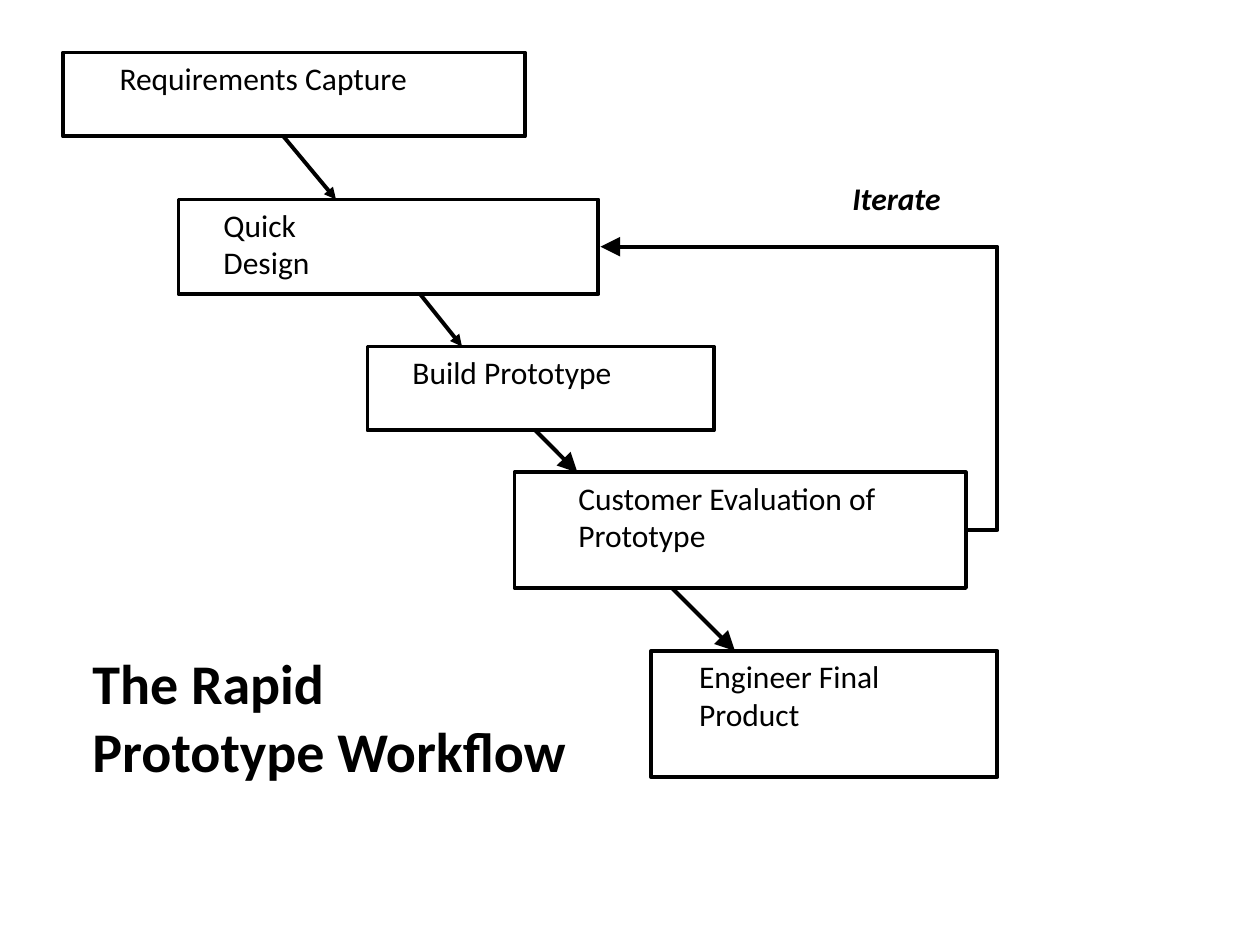
from pptx import Presentation
from pptx.dml.color import RGBColor
from pptx.enum.shapes import MSO_CONNECTOR, MSO_SHAPE
from pptx.enum.text import MSO_ANCHOR, MSO_AUTO_SIZE, PP_ALIGN
from pptx.oxml.ns import qn
from pptx.util import Inches, Pt
from lxml import etree

RECT = MSO_SHAPE.RECTANGLE
STRAIGHT, ELBOW = MSO_CONNECTOR.STRAIGHT, MSO_CONNECTOR.ELBOW
TOP, LEFT = MSO_ANCHOR.TOP, PP_ALIGN.LEFT
FIT = MSO_AUTO_SIZE.SHAPE_TO_FIT_TEXT
INK, FONT, WEIGHT = "000000", "Calibri", 2.24
CELL = 1 / 12
# box left, top, width, height; text indent, width; text
STEPS = [
    (6, 5, 44, 8, 4.2, 29.9, "Requirements Capture"),
    (17, 19, 40, 9, 3.1, 18.1, "Quick Design"),
    (35, 33, 33, 8, 3.1, 21.4, "Build Prototype"),
    (49, 45, 43, 11, 4.9, 30.8, "Customer Evaluation of\nPrototype"),
    (62, 62, 33, 12, 3.4, 20.3, "Engineer Final \nProduct"),
]
ARROWS = [(27, 32, "med"), (40, 44, "med"), (51, 55, "lg"), (64, 70, "lg")]


def grid(*cells):
    """Turn grid cells into lengths."""
    return [Inches(cell * CELL) for cell in cells]


def paint(color, value):
    """Set a colour from a hex string."""
    color.rgb = RGBColor.from_string(value)


def write(shape, text, size, bold=False, italic=False):
    """Fill a shape with left-aligned text from its top."""
    frame = shape.text_frame
    frame.text = text
    frame.word_wrap = False
    frame.auto_size = FIT
    frame.vertical_anchor = TOP
    for para in frame.paragraphs:
        para.alignment = LEFT
        font = para.font
        font.name, font.size = FONT, Pt(size)
        font.bold, font.italic = bold, italic
        paint(font.color, INK)


def label(slide, at, text, **style):
    """Add a text box."""
    write(slide.shapes.add_textbox(*grid(*at)), text, 18, **style)


def box(slide, at):
    """Add an outlined box."""
    shape = slide.shapes.add_shape(RECT, *grid(*at))
    shape.shadow.inherit = False
    shape.fill.background()
    shape.line.width = Pt(WEIGHT)
    paint(shape.line.color, INK)


def arrow(slide, kind, ends, size):
    """Add a connector with an arrowhead at its end."""
    link = slide.shapes.add_connector(kind, *grid(*ends))
    link.line.width = Pt(WEIGHT)
    paint(link.line.color, INK)
    props = link._element.spPr
    etree.SubElement(props.find(qn("a:ln")), qn("a:tailEnd"),
                     type="triangle", w=size, len=size)
    etree.SubElement(props, qn("a:effectLst"))
    return link


def bend(link, share):
    """Move the middle part of an elbow connector."""
    geom = link._element.spPr.find(qn("a:prstGeom"))
    guides = geom.find(qn("a:avLst"))
    if guides is None:
        guides = etree.SubElement(geom, qn("a:avLst"))
    etree.SubElement(guides, qn("a:gd"), name="adj1",
                     fmla=f"val {round(share * 100000)}")


def head(slide, at, text):
    """Place the title."""
    title = slide.shapes.title
    title.left, title.top, title.width, title.height = grid(*at)
    write(title, text, 32, bold=True)


def main():
    """Build the workflow slide."""
    deck = Presentation()
    deck.slide_width, deck.slide_height = Inches(10), Inches(7.5)
    slide = deck.slides.add_slide(deck.slide_layouts[5])
    for left, top, width, height, indent, span, text in STEPS:
        box(slide, (left, top, width, height))
        rows = 4.8 + 3.6 * text.count("\n")
        label(slide, (left + indent, top, span, rows), text)
    head(slide, (7.6, 61.2, 47.9, 14), "The Rapid\nPrototype Workflow")
    for (start, end, size), step, after in zip(ARROWS, STEPS, STEPS[1:]):
        ends = (start, step[1] + step[3], end, after[1])
        arrow(slide, STRAIGHT, ends, size)
    loop = arrow(slide, ELBOW, (92.2, 50.5, 57.2, 23.5), "lg")
    bend(loop, -0.08)
    label(slide, (80, 16.5, 10.8, 4.8), "Iterate", bold=True, italic=True)
    deck.save("out.pptx")


main()
